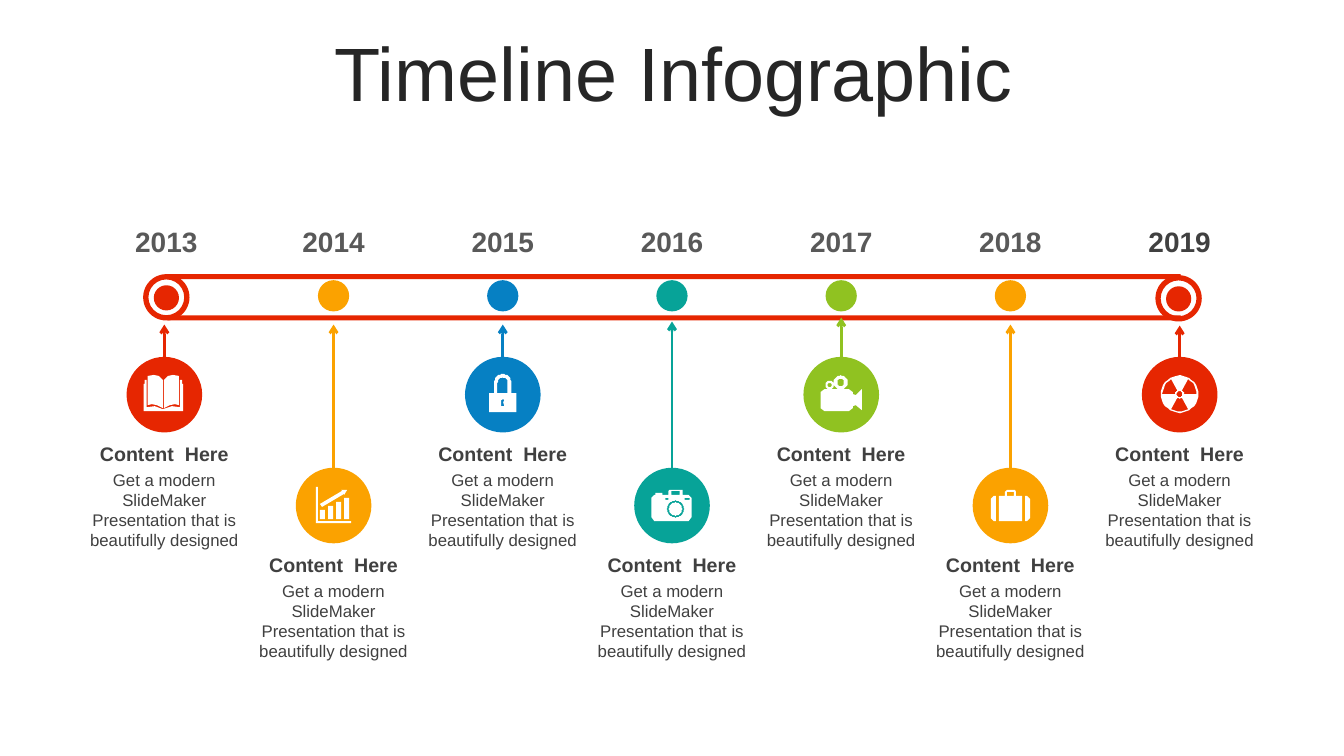
from dataclasses import dataclass
from math import cos, radians, sin

from lxml import etree
from pptx import Presentation
from pptx.dml.color import RGBColor
from pptx.enum.shapes import MSO_CONNECTOR, MSO_SHAPE
from pptx.enum.text import MSO_ANCHOR, PP_ALIGN
from pptx.oxml.ns import qn
from pptx.util import Inches, Pt

STRAIGHT = MSO_CONNECTOR.STRAIGHT
OVAL, DONUT, RECTANGLE = MSO_SHAPE.OVAL, MSO_SHAPE.DONUT, MSO_SHAPE.RECTANGLE
MIDDLE, TOP = MSO_ANCHOR.MIDDLE, MSO_ANCHOR.TOP
CENTER = PP_ALIGN.CENTER


@dataclass(frozen=True)
class Theme:
    font: str = "Arial"
    title: str = "262626"
    dark: str = "404040"
    year: str = "595959"
    white: str = "FFFFFF"
    red: str = "E62601"
    orange: str = "FBA200"
    blue: str = "0680C3"
    teal: str = "07A398"
    green: str = "90C221"
    title_size: int = 54
    year_size: int = 20
    heading_size: int = 14
    body_size: int = 12
    arrow_width: int = 2


THEME = Theme()
PITCH = 10.07 / 6
FIRST_CENTER = 1.63
BADGE = 0.75
ICON_UNIT = Inches(0.01)
HEADING = "Content  Here"
BODY = "Get a modern SlideMaker Presentation that is beautifully designed"


def arc(x, y, radius, start, end):
    step = 10 if end > start else -10
    return [(x + radius * cos(radians(angle)), y + radius * sin(radians(angle)))
            for angle in range(start, end + step, step)]


def disc(x, y, radius):
    return arc(x, y, radius, 0, 350)


def box(left, top, right, bottom):
    return [(left, top), (right, top), (right, bottom), (left, bottom)]


def blade(start):
    return arc(37.5, 37, 17, start, start + 60) + arc(37.5, 37, 4.5, start + 60, start)


def mirror(points):
    return [(73 - x, y) for x, y in points]


PAGE = [(37, 51), (37, 23), (41, 19), (46, 18), (52, 19), (52, 48), (48, 47), (43, 48)]
CASE_END = [(52, 28), (54, 28), (57, 31), (57, 50), (54, 53), (52, 53)]

BOOK = [
    PAGE, mirror(PAGE),
    [(53, 23), (55, 23), (55, 27), (56, 27), (56, 54), (17, 54), (17, 27), (18, 27),
     (18, 23), (20, 23), (20, 50), (28, 49), (36.5, 51.5), (45, 49), (53, 50)],
]
GROWTH = [box(24 + 8 * i, 42 - 4 * i, 29 + 8 * i, 51) for i in range(4)] + [
    [(45, 22), (51, 22), (48, 27), (48, 26), (26, 39), (24, 36), (46, 23)],
    [(20, 19), (22, 19), (22, 53), (55, 53), (55, 55), (20, 55)],
]
LOCK = [
    box(24, 36, 51, 55),
    [(36, 43), (37.5, 42), (39, 43), (38.5, 45), (39, 49), (36.5, 49), (36.5, 45)],
    [(29, 36)] + arc(37.5, 25.5, 8.5, 180, 360) + [(46, 36), (42.5, 36)]
    + arc(37.5, 25.5, 5, 360, 180) + [(32.5, 36)],
]
CAMERA = [
    [(35, 22), (48, 22), (48, 27), (54, 27), (57, 30), (57, 49), (54, 53), (20, 53),
     (17, 49), (17, 30), (20, 27), (21, 27), (21, 25), (28, 25), (28, 27), (34, 27), (34, 23)],
    disc(41, 41, 8.5), disc(41, 41, 6.5),
    box(31, 30, 34, 32), box(50, 30, 55, 32), box(37, 23, 45, 27),
]
VIDEO = [
    disc(26, 28, 4.3), disc(26, 28, 2), disc(37, 25.5, 7), disc(37, 25.5, 3.5),
    [(21, 32.5), (45, 32.5), (49, 35), (49, 37), (52, 38), (58, 32), (58, 53), (52, 48),
     (49, 49), (49, 51), (45, 54), (21, 54), (17, 51), (17, 35)],
]
SUITCASE = [
    CASE_END, [(75 - x, y) for x, y in CASE_END],
    [(34, 22), (42, 22), (43, 24), (43, 28), (49, 28), (49, 53), (26, 53), (26, 28),
     (32, 28), (32, 24)],
    box(34, 24, 41, 28),
]
RADIATION = [disc(37.5, 37, 18.5), disc(37.5, 37, 3)] + [blade(a) for a in (60, 180, 300)]

MILESTONES = [
    ("2013", THEME.red, BOOK, 3.54, 3.22),
    ("2014", THEME.orange, GROWTH, 4.64, 3.22),
    ("2015", THEME.blue, LOCK, 3.54, 3.22),
    ("2016", THEME.teal, CAMERA, 4.64, 3.19),
    ("2017", THEME.green, VIDEO, 3.54, 3.15),
    ("2018", THEME.orange, SUITCASE, 4.64, 3.22),
    ("2019", THEME.red, RADIATION, 3.54, 3.23),
]


def paint(shape, color):
    shape.shadow.inherit = False
    shape.fill.solid()
    shape.fill.fore_color.rgb = RGBColor.from_string(color)
    shape.line.fill.background()


def add_filled(slide, kind, left, top, width, height, color):
    shape = slide.shapes.add_shape(kind, Inches(left), Inches(top), Inches(width), Inches(height))
    paint(shape, color)
    return shape


def add_label(slide, text, left, top, width, height, size, color, bold=False, anchor=MIDDLE):
    label = slide.shapes.add_textbox(Inches(left), Inches(top), Inches(width), Inches(height))
    frame = label.text_frame
    frame.word_wrap = True
    frame.vertical_anchor = anchor
    paragraph = frame.paragraphs[0]
    paragraph.text = text
    paragraph.alignment = CENTER
    paragraph.font.name = THEME.font
    paragraph.font.size = Pt(size)
    paragraph.font.bold = bold
    paragraph.font.color.rgb = RGBColor.from_string(color)
    return paragraph


def add_icon(slide, contours, left, top):
    builder = slide.shapes.build_freeform(*contours[0][0], scale=ICON_UNIT)
    builder.add_line_segments(contours[0][1:])
    for contour in contours[1:]:
        builder.move_to(*contour[0])
        builder.add_line_segments(contour[1:])
    paint(builder.convert_to_shape(Inches(left), Inches(top)), THEME.white)


def add_arrow(slide, badge, center, top, tip, color):
    arrow = slide.shapes.add_connector(
        STRAIGHT, Inches(center), Inches(top), Inches(center), Inches(tip))
    arrow.begin_connect(badge, 0)
    arrow.line.width = Pt(THEME.arrow_width)
    arrow.line.color.rgb = RGBColor.from_string(color)
    etree.SubElement(arrow.line._get_or_add_ln(), qn("a:tailEnd"), type="arrow")
    etree.SubElement(arrow._element.spPr, qn("a:effectLst"))


def add_title(slide, left, top, width, height):
    paragraph = add_label(slide, "Timeline Infographic", left, top, width, height,
                          THEME.title_size, THEME.title)
    paragraph.line_spacing = 0.9
    paragraph.space_before = Pt(10)


def add_track(slide, left, top, width):
    for rail_top in (top, top + 0.41):
        add_filled(slide, RECTANGLE, left, rail_top, width, 0.05, THEME.red)
    for center, ring_top in ((left - 0.01, top), (left + width - 0.02, top + 0.01)):
        ring = add_filled(slide, DONUT, center - 0.23, ring_top, 0.46, 0.46, THEME.red)
        ring.adjustments[0] = 0.114
        add_filled(slide, OVAL, center - 0.125, ring_top + 0.11, 0.25, 0.25, THEME.red)
    for i, (_, color, *_) in enumerate(MILESTONES[1:-1], 1):
        add_filled(slide, OVAL, FIRST_CENTER + i * PITCH - 0.155, top + 0.06, 0.31, 0.31, color)


def add_milestone(slide, center, top, year, color, icon, tip, year_left, year_color):
    left = center - BADGE / 2
    add_label(slide, year, year_left, 2.17, 1.02, 0.44, THEME.year_size, year_color, True)
    badge = add_filled(slide, OVAL, left, top, BADGE, BADGE, color)
    add_arrow(slide, badge, center, top, tip, color)
    add_icon(slide, icon, left, top)
    add_label(slide, HEADING, center - 0.85, top + 0.79, 1.7, 0.34,
              THEME.heading_size, THEME.dark, True)
    add_label(slide, BODY, center - 0.85, top + 1.07, 1.7, 0.91,
              THEME.body_size, THEME.dark, anchor=TOP)


def main():
    presentation = Presentation()
    presentation.slide_width, presentation.slide_height = Inches(13.33), Inches(7.5)
    slide = presentation.slides.add_slide(presentation.slide_layouts[6])
    add_title(slide, 0.35, 0.37, 12.66, 0.79)
    add_track(slide, 1.66, 2.72, 10.05)
    for i, (year, color, icon, top, tip) in enumerate(MILESTONES):
        center = FIRST_CENTER + i * PITCH
        year_left = center - (0.49 if i == 0 else 0.51)
        year_color = THEME.dark if i == len(MILESTONES) - 1 else THEME.year
        add_milestone(slide, center, top, year, color, icon, tip, year_left, year_color)
    presentation.save("out.pptx")


if __name__ == "__main__":
    main()
